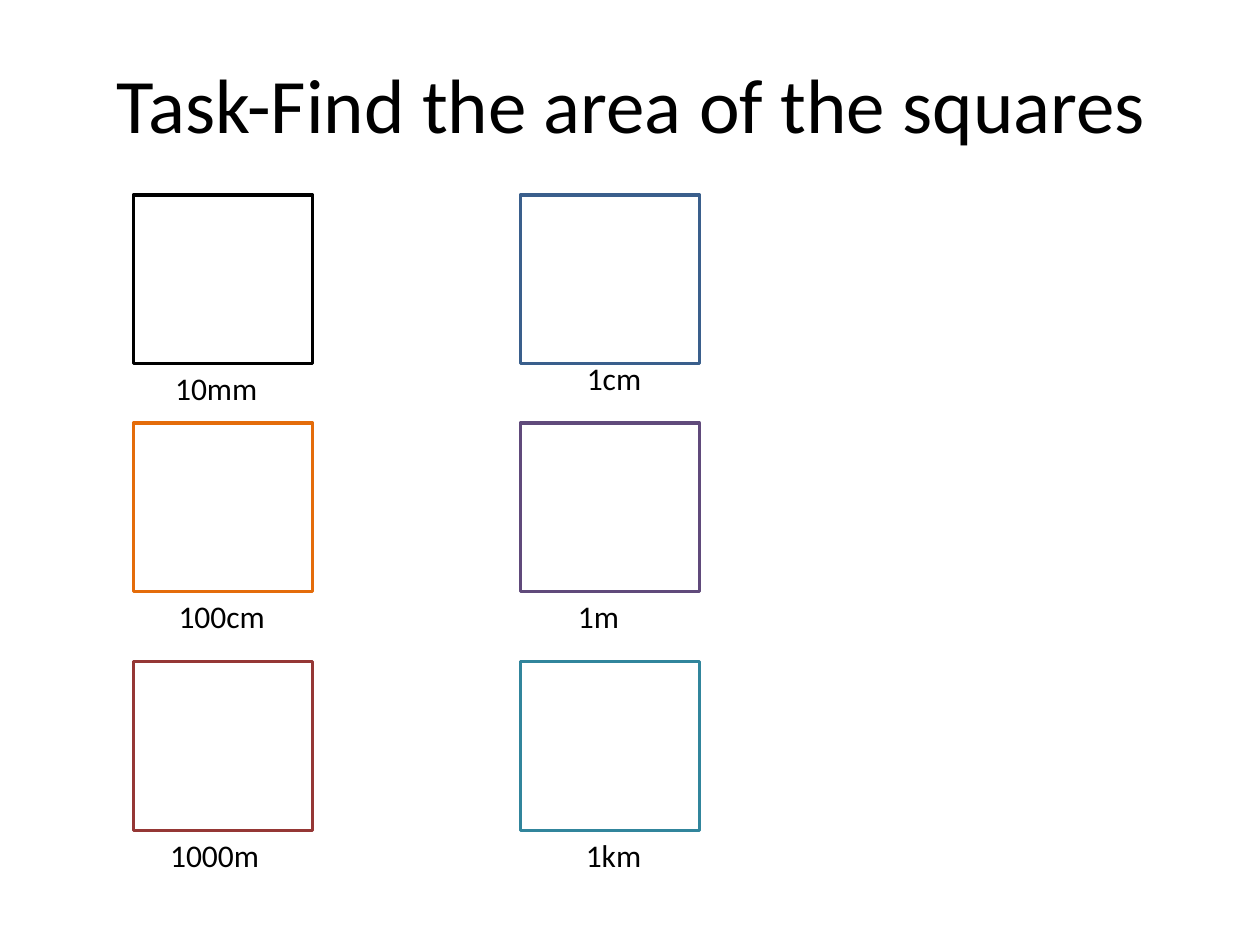
from pptx import Presentation
from pptx.dml.color import RGBColor
from pptx.enum.shapes import MSO_SHAPE as Preset
from pptx.enum.text import MSO_ANCHOR as Anchor, PP_ALIGN as Align
from pptx.util import Cm, Pt

HEADING = "Task-Find the area of the squares"
SQUARES = [
    [
        {"side": "10mm", "outline": "000000", "indent": 0.59, "drop": 3.38, "width": 2.18},
        {"side": "1cm", "outline": "3A5F8C", "indent": 1.09, "drop": 3.18, "width": 1.63},
    ],
    [
        {"side": "100cm", "outline": "E46C0A", "indent": 0.66, "drop": 3.38, "width": 2.26},
        {"side": "1m", "outline": "604A7B", "indent": 0.91, "drop": 3.38, "width": 1.8},
    ],
    [
        {"side": "1000m", "outline": "953735", "indent": 0.49, "drop": 3.38, "width": 2.34},
        {"side": "1km", "outline": "31859C", "indent": 1.07, "drop": 3.38, "width": 1.65},
    ],
]
THEME = {"font": "Calibri", "ink": "000000", "heading": 44, "label": 18, "outline": 2}
COLUMN_LEFTS = (2.69, 10.49)
ROW_TOPS = (3.93, 8.53, 13.34)
SQUARE_WIDTH, SQUARE_HEIGHT = 3.61, 3.4
LABEL_HEIGHT = 1.02


def add_words(slide, words, box, size, wrap=False):
    frame = slide.shapes.add_textbox(*map(Cm, box)).text_frame
    frame.word_wrap = wrap
    frame.text = words
    font = frame.paragraphs[0].runs[0].font
    font.name = THEME["font"]
    font.size = Pt(size)
    font.color.rgb = RGBColor.from_string(THEME["ink"])
    return frame


def add_square(slide, square, left, top):
    outline = slide.shapes.add_shape(
        Preset.RECTANGLE, Cm(left), Cm(top), Cm(SQUARE_WIDTH), Cm(SQUARE_HEIGHT)
    )
    outline.shadow.inherit = False
    outline.fill.background()
    outline.line.color.rgb = RGBColor.from_string(square["outline"])
    outline.line.width = Pt(THEME["outline"])
    label_box = (left + square["indent"], top + square["drop"], square["width"], LABEL_HEIGHT)
    add_words(slide, square["side"], label_box, THEME["label"])


def main():
    deck = Presentation()
    deck.slide_width, deck.slide_height = Cm(25.4), Cm(19.05)
    slide = deck.slides.add_slide(deck.slide_layouts[6])

    heading = add_words(slide, HEADING, (1.3, 0.48, 22.86, 3.18), THEME["heading"], wrap=True)
    heading.vertical_anchor = Anchor.MIDDLE
    heading.paragraphs[0].alignment = Align.CENTER

    for top, row in zip(ROW_TOPS, SQUARES):
        for left, square in zip(COLUMN_LEFTS, row):
            add_square(slide, square, left, top)

    deck.save("out.pptx")


if __name__ == "__main__":
    main()
